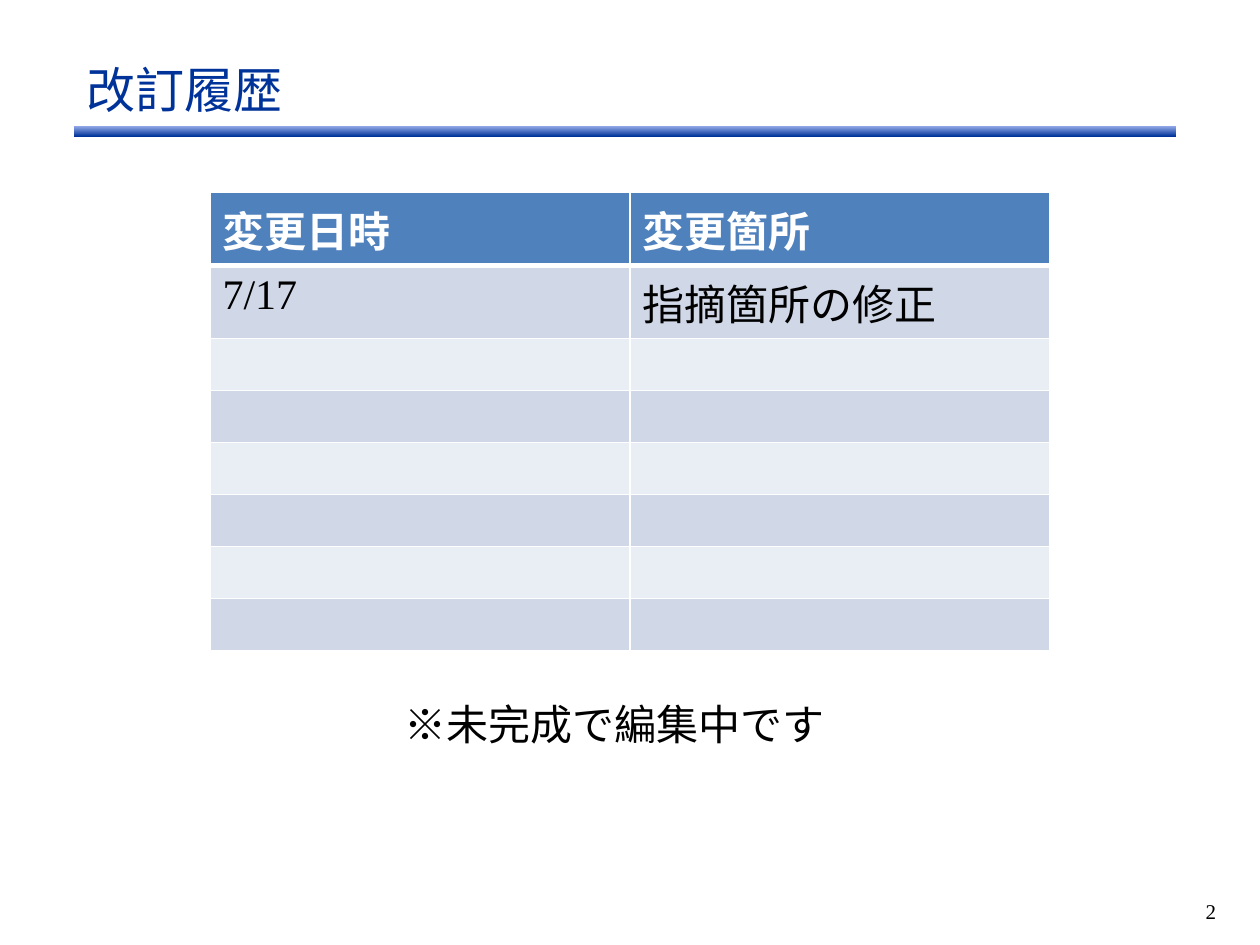
from lxml.etree import SubElement
from pptx import Presentation
from pptx.dml.color import RGBColor
from pptx.enum.shapes import MSO_SHAPE
from pptx.enum.text import MSO_ANCHOR, PP_ALIGN
from pptx.oxml.ns import qn
from pptx.util import Pt

WHITE = RGBColor(0xFF, 0xFF, 0xFF)
BLACK = RGBColor(0, 0, 0)
NAVY = RGBColor(0x00, 0x33, 0x99)
PALE_NAVY = RGBColor(0x98, 0xAD, 0xEB)
HEADER_BLUE = RGBColor(0x4F, 0x81, 0xBD)
BAND_DARK = RGBColor(0xD0, 0xD8, 0xE8)
BAND_LIGHT = RGBColor(0xE9, 0xED, 0xF4)

BODY_FONT = "Times New Roman"
TITLE_FONT = "Arial Narrow"

REVISIONS = [("変更日時", "変更箇所"), ("7/17", "指摘箇所の修正")]
ROW_COUNT = 8
TEXT_ROW_HEIGHT = 41.75


def style_paragraph(paragraph, size, color=BLACK, name=BODY_FONT, bold=False,
                    align=PP_ALIGN.LEFT):
    font = paragraph.font
    font.size, font.name, font.bold = Pt(size), name, bold
    font.color.rgb = color
    paragraph.alignment = align


def add_title(slide, left, top, width, height):
    title = slide.shapes.title
    title.left, title.top = Pt(left), Pt(top)
    title.width, title.height = Pt(width), Pt(height)
    title.text_frame.text = "改訂履歴"
    title.text_frame.vertical_anchor = MSO_ANCHOR.BOTTOM
    style_paragraph(title.text_frame.paragraphs[0], 28, NAVY, TITLE_FONT)


def add_title_rule(slide, left, top, width, height):
    rule = slide.shapes.add_shape(
        MSO_SHAPE.RECTANGLE, Pt(left), Pt(top), Pt(width), Pt(height))
    rule.shadow.inherit = False
    rule.line.fill.background()
    rule.fill.gradient()
    rule.fill.gradient_angle = 270
    for stop, color in zip(rule.fill.gradient_stops, (PALE_NAVY, NAVY)):
        stop.color.rgb = color


def set_borders(cell, bottom_width):
    """Draw white cell borders; they must precede the cell's fill in the XML."""
    properties = cell._tc.get_or_add_tcPr()
    for side, width in (("L", 1), ("R", 1), ("T", 1), ("B", bottom_width)):
        border = SubElement(properties, qn(f"a:ln{side}"), w=str(Pt(width)))
        fill = SubElement(border, qn("a:solidFill"))
        SubElement(fill, qn("a:srgbClr"), val=str(WHITE))


def add_revision_table(slide, left, top, width, height):
    """Place the table; the empty rows share the height the text rows leave."""
    table = slide.shapes.add_table(
        ROW_COUNT, len(REVISIONS[0]),
        Pt(left), Pt(top), Pt(width), Pt(height)).table
    text_rows = len(REVISIONS)
    empty_row_height = (height - text_rows * TEXT_ROW_HEIGHT) / (ROW_COUNT - text_rows)
    for r, row in enumerate(table.rows):
        is_header = r == 0
        has_text = r < text_rows
        band = BAND_DARK if r % 2 else BAND_LIGHT
        row.height = Pt(TEXT_ROW_HEIGHT if has_text else empty_row_height)
        for c, cell in enumerate(row.cells):
            set_borders(cell, 3 if is_header else 1)
            cell.fill.solid()
            cell.fill.fore_color.rgb = HEADER_BLUE if is_header else band
            if has_text:
                cell.text = REVISIONS[r][c]
                style_paragraph(cell.text_frame.paragraphs[0], 24,
                                WHITE if is_header else BLACK, bold=is_header)


def add_text(slide, text, size, left, top, width, height, align=PP_ALIGN.LEFT):
    frame = slide.shapes.add_textbox(
        Pt(left), Pt(top), Pt(width), Pt(height)).text_frame
    frame.word_wrap = True
    frame.text = text
    style_paragraph(frame.paragraphs[0], size, align=align)


def main():
    presentation = Presentation()
    presentation.slide_width, presentation.slide_height = Pt(720), Pt(540)
    slide = presentation.slides.add_slide(presentation.slide_layouts[5])
    add_title_rule(slide, 42, 72, 630, 6)
    add_text(slide, "2", 12, 660, 510, 42, 24, PP_ALIGN.RIGHT)
    add_title(slide, 42.5, 37.5, 630, 34)
    add_revision_table(slide, 120, 110, 480, 262)
    add_text(slide, "※未完成で編集中です", 24, 224, 395.5, 271.5, 36)
    presentation.save("out.pptx")


if __name__ == "__main__":
    main()
